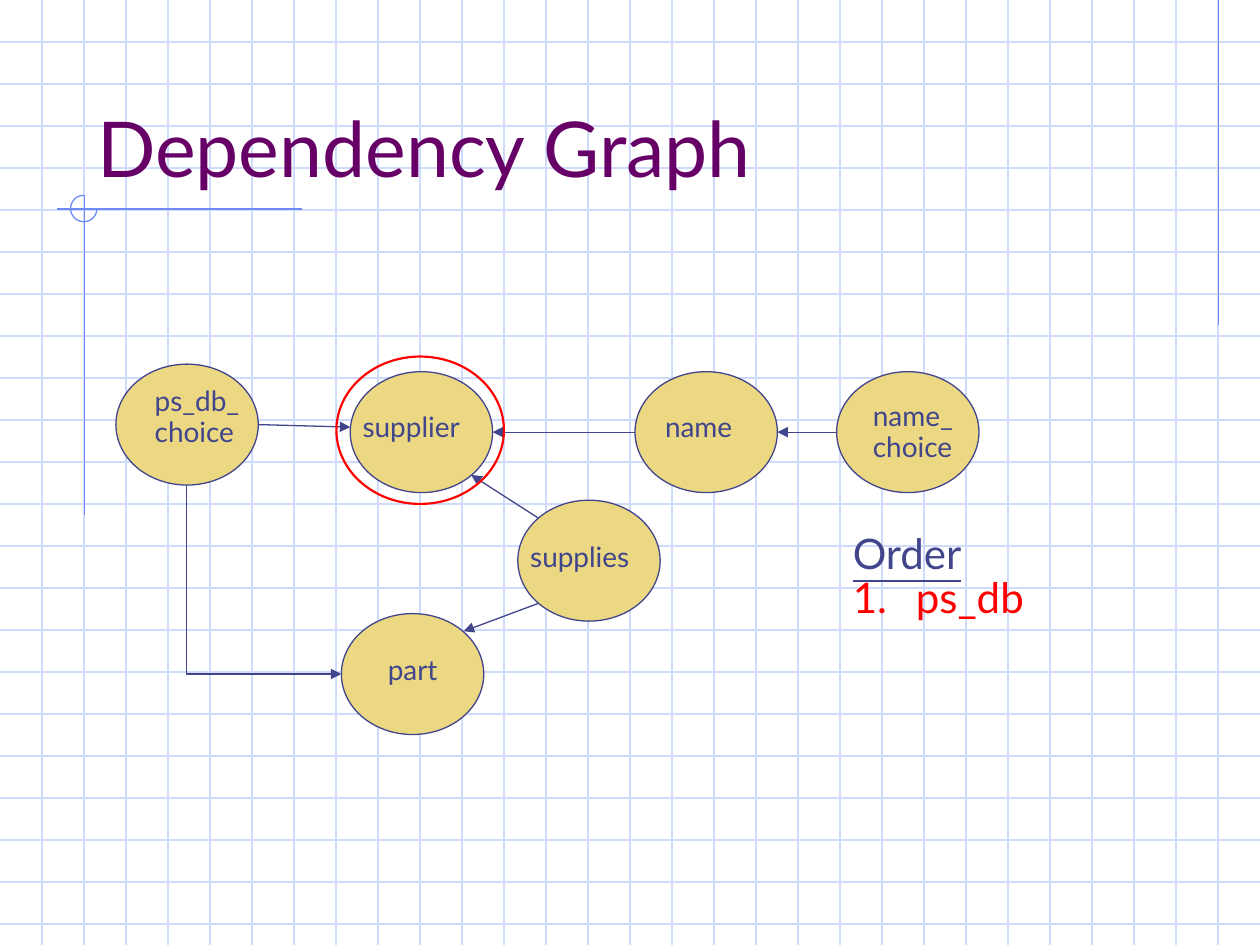
from lxml import etree
from pptx import Presentation
from pptx.dml.color import RGBColor
from pptx.enum.shapes import MSO_CONNECTOR, MSO_SHAPE
from pptx.enum.text import MSO_ANCHOR, MSO_AUTO_SIZE, PP_ALIGN
from pptx.oxml.ns import qn
from pptx.util import Inches, Pt

STRAIGHT, ELBOW = MSO_CONNECTOR.STRAIGHT, MSO_CONNECTOR.ELBOW
OVAL, ARC = MSO_SHAPE.OVAL, MSO_SHAPE.ARC
LEFT, BOTTOM = PP_ALIGN.LEFT, MSO_ANCHOR.BOTTOM
FIT_SHAPE, NO_FIT = MSO_AUTO_SIZE.SHAPE_TO_FIT_TEXT, MSO_AUTO_SIZE.NONE

FONT = "Lato"
INK, PURPLE, RED, SAND = "40458C", "660066", "FF0000", "ECD882"
GRID, ACCENT = "CFDBFD", "6F89F7"
PAGE_WIDTH, PAGE_HEIGHT = 10, 7.5
GRID_STEP = 1 / 3
NODE_WIDTH, NODE_HEIGHT = 1.13, 0.96

# Node left and top, label box, label lines
NODES = [
    ((2.71, 4.87), (2.98, 5.13, 0.73, 0.37), ["part"]),
    ((2.78, 2.95), (2.78, 3.2, 1.13, 0.37), ["supplier"]),
    ((5.04, 2.95), (5.18, 3.2, 0.86, 0.37), ["name"]),
    ((4.11, 3.97), (4.11, 4.23, 1.13, 0.37), ["supplies"]),
    ((6.64, 2.95), (6.83, 3.25, 0.9, 0.46), ["name_", "choice"]),
    ((0.92, 2.89), (1.13, 3.13, 1.03, 0.46), ["ps_db_", "choice"]),
]
ARROWS = [
    ((4.27, 4.79), (3.68, 5.01)),  # supplies to part
    ((4.27, 4.11), (3.74, 3.77)),  # supplies to supplier
    ((2.05, 3.37), (2.78, 3.39)),  # ps_db_choice to supplier
    ((6.64, 3.43), (6.17, 3.43)),  # name_choice to name
    ((5.04, 3.43), (3.91, 3.43)),  # name to supplier
]


def color(value):
    return RGBColor.from_string(value)


def add_line(page, start, end, stroke, kind=STRAIGHT, arrow=False):
    line = page.shapes.add_connector(kind, *map(Inches, start + end))
    line.line.color.rgb = color(stroke)
    line.line.width = Pt(0.75)
    properties = line.element.spPr
    if arrow:
        etree.SubElement(properties.find(qn("a:ln")), qn("a:tailEnd"), type="triangle")
    etree.SubElement(properties, qn("a:effectLst"))
    return line


def add_corner_arrow(page, start, end):
    """Arrow that runs down from start, then right to end."""
    middle_x, middle_y = (start[0] + end[0]) / 2, (start[1] + end[1]) / 2
    half_x, half_y = (end[0] - start[0]) / 2, (end[1] - start[1]) / 2
    line = add_line(page, (middle_x + half_y, middle_y - half_x),
                    (middle_x - half_y, middle_y + half_x), INK, ELBOW, arrow=True)
    properties = line.element.spPr
    properties.find(qn("a:prstGeom")).set("prst", "bentConnector2")
    properties.find(qn("a:xfrm")).set("rot", str(270 * 60000))


def add_outline(page, kind, box, stroke, width=0.75, fill=None):
    shape = page.shapes.add_shape(kind, *map(Inches, box))
    shape.shadow.inherit = False
    if fill:
        shape.fill.solid()
        shape.fill.fore_color.rgb = color(fill)
    else:
        shape.fill.background()
    shape.line.color.rgb = color(stroke)
    shape.line.width = Pt(width)
    return shape


def write(para, text, size=16, ink=INK, underline=None, spacing=None, before=None):
    para.alignment = LEFT
    if spacing:
        para.line_spacing = spacing
    if before:
        para.space_before = Pt(before)
    span = para.add_run()
    span.text = text
    span.font.name = FONT
    span.font.size = Pt(size)
    span.font.color.rgb = color(ink)
    span.font.underline = underline


def add_text_frame(page, box):
    frame = page.shapes.add_textbox(*map(Inches, box)).text_frame
    frame.word_wrap = True
    frame.auto_size = FIT_SHAPE
    return frame


def draw_background(page, width, height):
    # Squared paper
    for row in range(1, int(height / GRID_STEP) + 1):
        add_line(page, (0, row * GRID_STEP), (width, row * GRID_STEP), GRID)
    for column in range(1, int(width / GRID_STEP)):
        add_line(page, (column * GRID_STEP, 0), (column * GRID_STEP, height), GRID)
    # Margin rules and the open circle where they cross
    add_line(page, (9.67, 0), (9.67, 2.58), ACCENT)
    add_line(page, (2.4, 1.66), (0.45, 1.66), ACCENT)
    add_line(page, (0.67, 1.55), (0.67, 4.09), ACCENT)
    circle = add_outline(page, ARC, (0.56, 1.55, 0.21, 0.21), ACCENT)
    circle.adjustments[0] = 0
    circle.adjustments[1] = 270 * 0.6


def place_title(page, box, text):
    title = page.shapes.title
    title.left, title.top, title.width, title.height = map(Inches, box)
    frame = title.text_frame
    frame.auto_size = NO_FIT
    frame.vertical_anchor = BOTTOM
    write(frame.paragraphs[0], text, size=44, ink=PURPLE)
    # Bring the title in front of the background
    title.element.getparent().append(title.element)


def draw_node(page, corner, label_box, lines):
    add_outline(page, OVAL, corner + (NODE_WIDTH, NODE_HEIGHT), INK, fill=SAND)
    frame = add_text_frame(page, label_box)
    spacing = 0.4 if len(lines) > 1 else None
    for index, text in enumerate(lines):
        para = frame.add_paragraph() if index else frame.paragraphs[0]
        write(para, text, spacing=spacing, before=10 if index else None)


def place_order_list(page, box):
    frame = add_text_frame(page, box)
    heading, item = frame.paragraphs[0], frame.add_paragraph()
    write(heading, "Order", size=24, underline=True, spacing=0.45)
    write(item, "ps_db", size=24, ink=RED, spacing=0.45, before=12)
    properties = item._p.get_or_add_pPr()
    properties.set("marL", str(Inches(0.5)))
    properties.set("indent", str(-Inches(0.5)))
    bullet_color = etree.SubElement(properties, qn("a:buClr"))
    etree.SubElement(bullet_color, qn("a:srgbClr"), val=RED)
    etree.SubElement(properties, qn("a:buAutoNum"), type="arabicPeriod")


def main():
    deck = Presentation()
    deck.slide_width, deck.slide_height = Inches(PAGE_WIDTH), Inches(PAGE_HEIGHT)
    page = deck.slides.add_slide(deck.slide_layouts.get_by_name("Title Only"))
    draw_background(page, PAGE_WIDTH, PAGE_HEIGHT)
    place_title(page, (0.67, 0.33, 8.5, 1.25), "Dependency Graph")
    # Dependency graph
    for corner, label_box, lines in NODES:
        draw_node(page, corner, label_box, lines)
    for start, end in ARROWS:
        add_line(page, start, end, INK, arrow=True)
    add_corner_arrow(page, (1.48, 3.85), (2.71, 5.35))  # ps_db_choice to part
    place_order_list(page, (6.67, 4.33, 3.17, 0.63))
    # Ring around the supplier node
    add_outline(page, OVAL, (2.67, 2.83, 1.33, 1.17), RED, width=1.25)
    deck.save("out.pptx")


if __name__ == "__main__":
    main()
